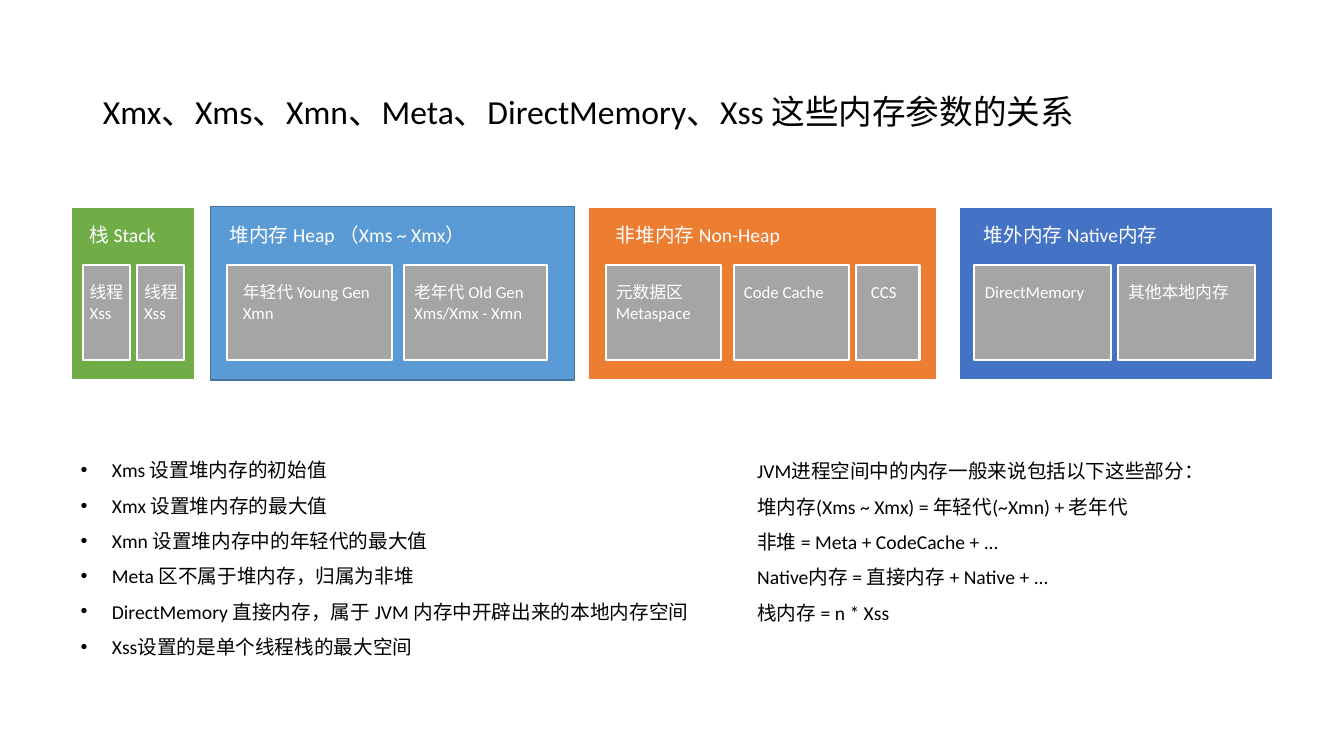
from pptx import Presentation
from pptx.dml.color import RGBColor
from pptx.enum.shapes import MSO_SHAPE
from pptx.enum.text import MSO_ANCHOR, MSO_AUTO_SIZE, PP_ALIGN
from pptx.oxml.ns import qn
from pptx.util import Emu, Pt

RECT = MSO_SHAPE.RECTANGLE
MIDDLE, TOP = MSO_ANCHOR.MIDDLE, MSO_ANCHOR.TOP
FIXED = MSO_AUTO_SIZE.NONE
LEFT = PP_ALIGN.LEFT
SCALE = 9144
INDENT = 31
WHITE, BLACK, GREY = "FFFFFF", "000000", "A5A5A5"


def px(size):
    return Emu(size * SCALE)


def color(code):
    return RGBColor.from_string(code)


class Board:
    font = "Calibri"

    def __init__(self, slide):
        self.slide = slide

    def style(self, frame, text, size, ink, space=1.0):
        frame.text = text
        frame.word_wrap = True
        frame.auto_size = FIXED
        for para in frame.paragraphs:
            para.alignment = LEFT
            para.line_spacing = space
            para.space_before = Pt(0)
            para.font.name = self.font
            para.font.size = Pt(size)
            para.font.color.rgb = color(ink)

    def place(self, shape, x, y, w, h):
        shape.left, shape.top = px(x), px(y)
        shape.width, shape.height = px(w), px(h)

    def title(self, text, *area):
        shape = self.slide.shapes.title
        self.place(shape, *area)
        self.style(shape.text_frame, text, 24, BLACK, 0.9)
        shape.text_frame.vertical_anchor = MIDDLE

    def body(self, index, lines, bullet, *area):
        shape = self.slide.placeholders[index]
        self.place(shape, *area)
        frame = shape.text_frame
        self.style(frame, "\n".join(lines), 14, BLACK, 1.5)
        frame.vertical_anchor = TOP
        indent = px(INDENT) if bullet else 0
        for para in frame.paragraphs:
            props = para._p.get_or_add_pPr()
            props.set("marL", str(indent))
            props.set("indent", str(-indent))
            if not bullet:
                props.insert_element_before(
                    props.makeelement(qn("a:buNone"), {}),
                    "a:tabLst", "a:defRPr", "a:extLst")

    def box(self, fill, line, width, *area):
        shape = self.slide.shapes.add_shape(RECT, *map(px, area))
        shape.shadow.inherit = False
        shape.fill.solid()
        shape.fill.fore_color.rgb = color(fill)
        shape.line.color.rgb = color(line)
        shape.line.width = Pt(width)

    def label(self, text, size, *area):
        shape = self.slide.shapes.add_textbox(*map(px, area))
        self.style(shape.text_frame, text, size, WHITE)


REGIONS = [
    ("70AD47", WHITE, 1.5, 70, 124, 79, "栈 Stack", [
        (82, 47, 79, 191, "线程\nXss"),
        (136, 47, 133, 191, "线程\nXss")]),
    ("5B9BD5", "43739E", 1, 209, 361, 218, "堆内存 Heap （Xms ~ Xmx）", [
        (225, 164, 231, 297, "年轻代 Young Gen\nXmn"),
        (401, 142, 401, 297, "老年代 Old Gen\nXms/Xmx - Xmn")]),
    ("ED7D31", WHITE, 1.5, 583, 346, 601, "非堆内存 Non-Heap", [
        (601, 114, 601, 297, "元数据区\nMetaspace"),
        (728, 114, 728, 120, "Code Cache"),
        (849, 63, 854, 73, "CCS")]),
    ("4472C4", WHITE, 1.5, 951, 312, 966, "堆外内存 Native内存", [
        (966, 136, 967, 209, "DirectMemory"),
        (1109, 136, 1109, 209, "其他本地内存")]),
]

OPTIONS = [
    "Xms 设置堆内存的初始值",
    "Xmx 设置堆内存的最大值",
    "Xmn 设置堆内存中的年轻代的最大值",
    "Meta 区不属于堆内存，归属为非堆",
    "DirectMemory 直接内存，属于 JVM 内存中开辟出来的本地内存空间",
    "Xss设置的是单个线程栈的最大空间",
]

SUMS = [
    "JVM进程空间中的内存一般来说包括以下这些部分：",
    "堆内存(Xms ~ Xmx) = 年轻代(~Xmn) + 老年代",
    "非堆 = Meta + CodeCache + ...",
    "Native内存 = 直接内存 + Native + ...",
    "栈内存 = n * Xss",
]


def main():
    deck = Presentation()
    deck.slide_width, deck.slide_height = px(1333), px(750)
    board = Board(deck.slides.add_slide(deck.slide_layouts[3]))

    board.title("Xmx、Xms、Xmn、Meta、DirectMemory、Xss 这些内存参数的关系",
                92, 40, 1150, 145)
    for fill, line, width, x, w, start, name, cells in REGIONS:
        board.box(fill, line, width, x, 205, w, 172)
        board.label(name, 14, start, 216, 297, 34)
        for left, wide, inset, span, text in cells:
            board.box(GREY, WHITE, 1.5, left, 263, wide, 94)
            tall = 30 + 20 * text.count("\n")
            board.label(text, 12, inset, 275, span, tall)
    board.body(1, OPTIONS, True, 70, 438, 645, 222)
    board.body(2, SUMS, False, 741, 439, 577, 210)
    deck.save("out.pptx")


if __name__ == "__main__":
    main()
